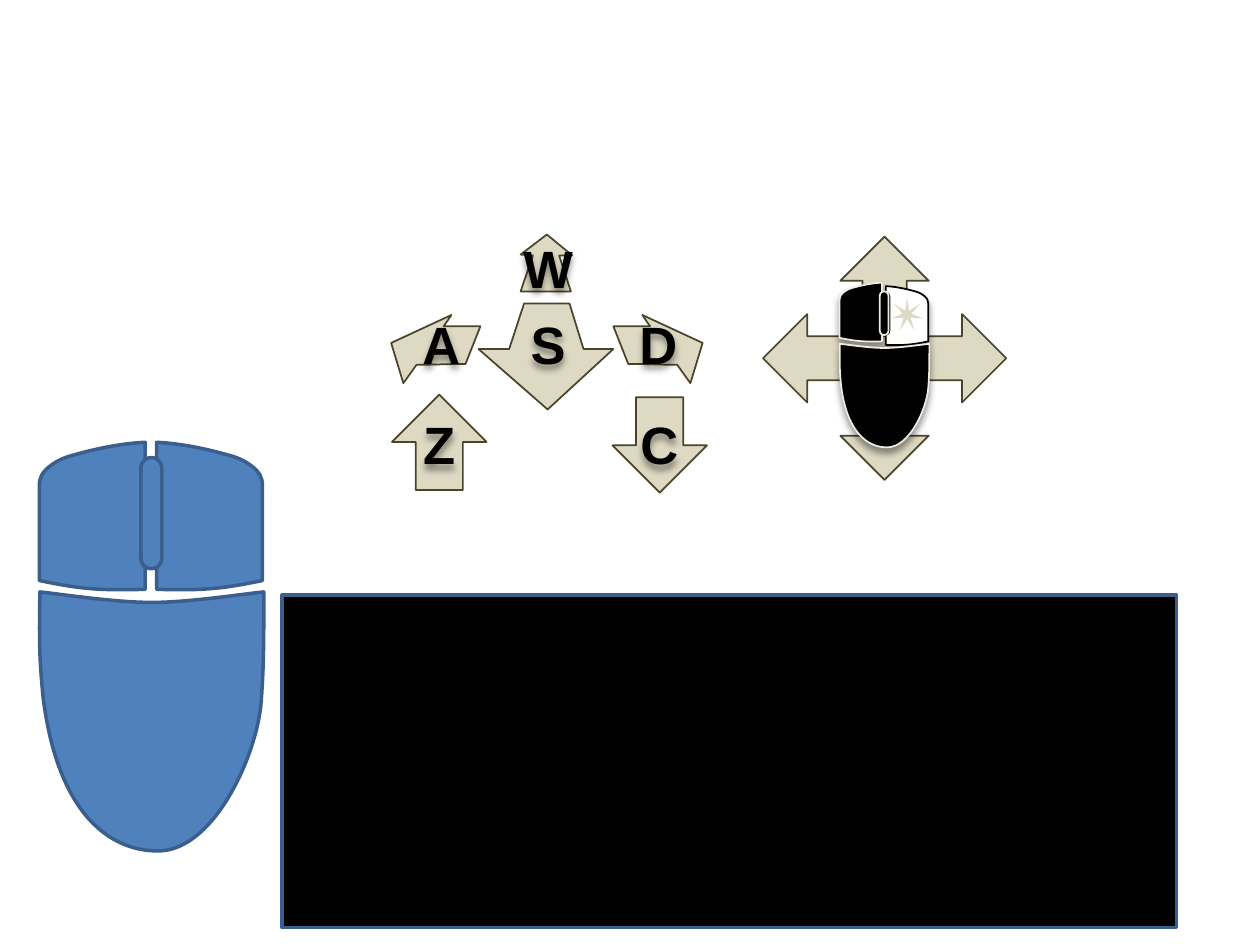
from lxml.etree import SubElement
from pptx import Presentation
from pptx.dml.color import RGBColor
from pptx.enum.shapes import MSO_SHAPE
from pptx.enum.text import MSO_AUTO_SIZE, PP_ALIGN
from pptx.oxml import parse_xml
from pptx.oxml.ns import nsdecls, qn
from pptx.util import Pt

COLORS = {
    "black": "000000", "white": "FFFFFF", "sand": "DDD9C3", "olive": "4A452A",
    "blue": "4F81BD", "navy": "3A5F8C", "cream": "EEECE1", "halo": "EAEAEA",
}
SHADOW = (
    f'<a:effectLst {nsdecls("a")}><a:outerShdw blurRad="{Pt(4)}" dist="{Pt(3)}" '
    'dir="5400000" rotWithShape="0"><a:srgbClr val="000000"><a:alpha val="40000"/>'
    "</a:srgbClr></a:outerShdw></a:effectLst>"
)
LETTER_FORMAT = {"name": "Arial", "size": Pt(30), "bold": True}
FRAME_FORMAT = {"word_wrap": False, "auto_size": MSO_AUTO_SIZE.SHAPE_TO_FIT_TEXT}

# Outlines start with a point; two numbers make a line, six make a curve
SIDE_ARROW = [
    (16.5, 0), (21, 6.5), (13, 6.5, 8.5, 6.5, 0, 6.5), (8.5, 28),
    (18, 28, 27.5, 28.5, 36.5, 28.5), (44, 39), (51, 16), (16.5, 0),
]
BACK_ARROW = [
    (0, 26), (17.5, 26), (26, 0), (52, 0), (60, 26), (77, 26), (39.5, 60.5), (0, 26),
]
FRONT_ARROW = [
    (29.5, 12), (22, 12), (28.75, 32.5), (0, 32.5), (7, 12), (0, 11.5), (15, 0), (29.5, 12),
]
BUTTON = [
    (60.5, 0), (40, 1, 21, 7, 17, 8), (11, 10, 8, 12, 5, 14.5),
    (2, 17, 0, 20, 0, 24.5), (0, 79), (20, 83, 31, 85, 60.5, 84), (60.5, 0),
]
BODY = [
    (68.5, 148), (101, 148, 125.5, 92, 127.5, 62.5), (129, 43, 129, 27, 129, 0),
    (118, 1, 86.5, 6, 65, 6), (43, 6, 11.5, 1, 1, 0),
    (1, 20, 0, 32, 3, 61), (11.5, 127, 41, 148, 68.5, 148),
]

presentation = Presentation()
presentation.slide_width, presentation.slide_height = Pt(720), Pt(540)
slide = presentation.slides.add_slide(presentation.slide_layouts[6])


def paint(shape, fill, line=None, width=1, shadow=False):
    shape.shadow.inherit = False
    shape.fill.solid()
    shape.fill.fore_color.rgb = RGBColor.from_string(COLORS[fill])
    if line:
        shape.line.color.rgb = RGBColor.from_string(COLORS[line])
        shape.line.width = Pt(width)
    else:
        shape.line.fill.background()
    if shadow:
        properties = shape.element.spPr
        properties.replace(properties.find(qn("a:effectLst")), parse_xml(SHADOW))


def add_outline(shapes, outline, left, top, scale=1, mirror_width=None):
    points = [pair for segment in outline for pair in zip(segment[::2], segment[1::2])]
    if mirror_width:
        points = [(mirror_width - x, y) for x, y in points]
    # The builder takes whole units, so work in hundredths of a point
    placed = [(100 * (left + x * scale), 100 * (top + y * scale)) for x, y in points]
    builder = shapes.build_freeform(*placed[0], scale=Pt(1) / 100)
    builder.add_line_segments(placed[1:], close=True)
    shape = builder.convert_to_shape()
    # Join each three points of a curve into one Bézier segment
    lines = iter(list(shape.element.iter(qn("a:lnTo"))))
    for segment in outline[1:]:
        line = next(lines)
        if len(segment) == 6:
            line.tag = qn("a:cubicBezTo")
            for control in (next(lines), next(lines)):
                line.append(control[0])
                control.getparent().remove(control)
    return shape


# Black panel
panel = slide.shapes.add_shape(MSO_SHAPE.RECTANGLE, Pt(161.25), Pt(340), Pt(511), Pt(190))
paint(panel, "black", "navy", 2)

# Key arrows
arrows = slide.shapes.add_group_shape().shapes
for left, top, rotation in [(350, 227, 0), (224, 225.5, 180)]:
    arrow = arrows.add_shape(MSO_SHAPE.DOWN_ARROW, Pt(left), Pt(top), Pt(54), Pt(54.5))
    arrow.rotation = rotation
    paint(arrow, "sand", "olive")
for outline, left, top, mirror_width in [
    (BACK_ARROW, 273.5, 173.5, None),
    (FRONT_ARROW, 297.5, 134, None),
    (SIDE_ARROW, 223.5, 180, 51),
    (SIDE_ARROW, 350.5, 180, None),
]:
    arrow = add_outline(arrows, outline, left, top, mirror_width=mirror_width)
    paint(arrow, "sand", "olive")

# Key letters
letters = slide.shapes.add_group_shape().shapes
for letter, left, top, width in [
    ("W", 291.75, 131.25, 43), ("S", 296, 174.5, 34.5), ("D", 358, 174.5, 36.5),
    ("Z", 234.5, 232, 33), ("C", 358.5, 232, 36.5), ("A", 234, 174.5, 36.5),
]:
    box = letters.add_textbox(Pt(left), Pt(top), Pt(width), Pt(44))
    box.element.spPr.append(parse_xml(SHADOW))
    for name, value in FRAME_FORMAT.items():
        setattr(box.text_frame, name, value)
    paragraph = box.text_frame.paragraphs[0]
    paragraph.alignment = PP_ALIGN.CENTER
    run = paragraph.add_run()
    run.text = letter
    for name, value in LETTER_FORMAT.items():
        setattr(run.font, name, value)
    run.font.color.rgb = RGBColor.from_string(COLORS["black"])
    border = parse_xml(f'<a:ln {nsdecls("a")} w="{Pt(0.75)}"/>')
    border_fill = SubElement(border, qn("a:solidFill"))
    SubElement(border_fill, qn("a:srgbClr"), val=COLORS["halo"])
    run.font.fill._xPr.insert(0, border)

# Four-way movement arrows
for rotation in (0, 90):
    arrow = slide.shapes.add_shape(
        MSO_SHAPE.UP_DOWN_ARROW, Pt(480.25), Pt(135.25), Pt(50.5), Pt(139)
    )
    arrow.rotation = rotation
    paint(arrow, "sand", "olive")

# Large mouse
paint(add_outline(slide.shapes, BUTTON, 89.5, 252.75, mirror_width=60.5), "blue", "navy", 2)
paint(add_outline(slide.shapes, BUTTON, 22.5, 252.75), "blue", "navy", 2)
wheel = slide.shapes.add_shape(MSO_SHAPE.ROUNDED_RECTANGLE, Pt(80.5), Pt(261.5), Pt(12), Pt(63.5))
wheel.adjustments[0] = 0.5
paint(wheel, "blue", "navy", 2)
paint(add_outline(slide.shapes, BODY, 21.75, 338.25), "blue", "navy", 2)

# Small mouse with a marked right button
for outline, left, top, mirror_width, fill, line in [
    (BUTTON, 506.25, 163.5, 60.5, "white", "black"),
    (BUTTON, 479.75, 161.5, None, "black", "cream"),
    (BODY, 479.5, 196.5, None, "black", "cream"),
]:
    part = add_outline(slide.shapes, outline, left, top, 0.4, mirror_width)
    paint(part, fill, line, shadow=True)
star = slide.shapes.add_shape(MSO_SHAPE.STAR_7_POINT, Pt(509), Pt(170), Pt(18.75), Pt(18.75))
star.adjustments[0] = 0.13
paint(star, "sand")
for left, top, height, line in [(503.25, 167, 24.5, "black"), (502.75, 166.5, 25, "cream")]:
    wheel = slide.shapes.add_shape(
        MSO_SHAPE.ROUNDED_RECTANGLE, Pt(left), Pt(top), Pt(5), Pt(height)
    )
    wheel.adjustments[0] = 0.5
    paint(wheel, "black", line)

presentation.save("out.pptx")
